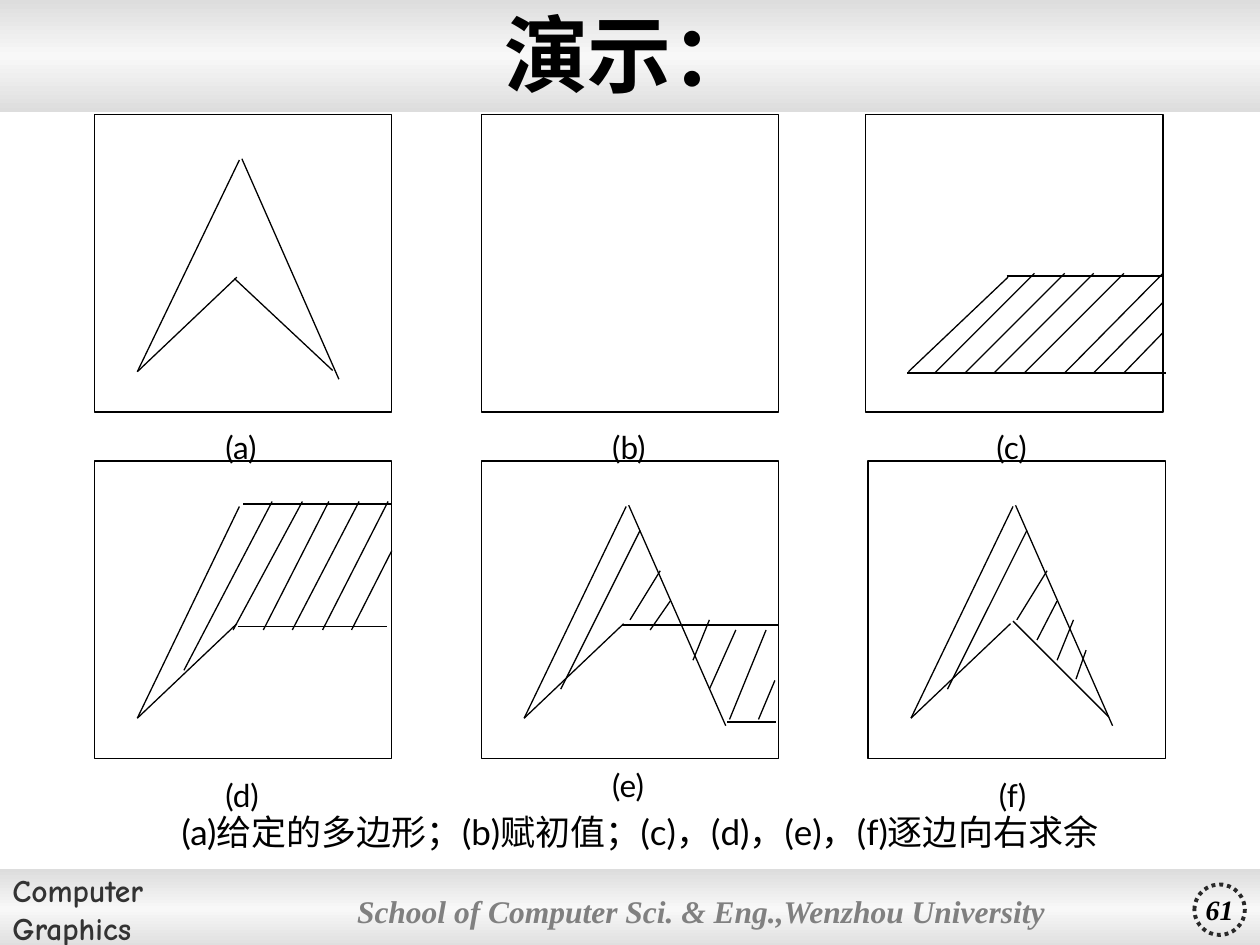
from copy import deepcopy
from pptx import Presentation
from pptx.dml.color import RGBColor
from pptx.enum.dml import MSO_LINE
from pptx.enum.shapes import MSO_CONNECTOR, MSO_SHAPE
from pptx.enum.text import MSO_ANCHOR, PP_ALIGN
from pptx.oxml.ns import qn
from pptx.util import Inches, Pt
from lxml import etree

RECT, ROUND, OVAL = MSO_SHAPE.RECTANGLE, MSO_SHAPE.ROUNDED_RECTANGLE, MSO_SHAPE.OVAL
STRAIGHT = MSO_CONNECTOR.STRAIGHT
DOT = MSO_LINE.ROUND_DOT
MIDDLE, TOP = MSO_ANCHOR.MIDDLE, MSO_ANCHOR.TOP
LEFT, CENTER = PP_ALIGN.LEFT, PP_ALIGN.CENTER

COLORS = {"ink": "000000", "edge": "DDDDDD", "glow": "F8F8F8",
          "course": "333333", "school": "808080", "ring": "292929"}
SERIF, SANS, COMIC = "Times New Roman", "Lato", "Comic Neue"
SIDE = 2.36
COLS = [0.75, 3.82, 6.89]
ROWS = [0.91, 3.66]

LEG = (1.15, 0.36, 0.34, 2.04)
SLOPE = (1.94, 2.1, 1.17, 0.35)
NOTCH = (1.13, 1.29, 0.34, 2.04)
ARROW = [LEG, SLOPE, NOTCH]
SHADE = [(1.26, 0.55, 0.63, 1.81), (1.42, 0.87, 1.18, 1.26)]


def hatch(tops, feet, high, low):
    return [(a, high, b, low) for a, b in zip(tops, feet)]


PANELS = [
    ("(a)", COLS[0], ROWS[0], 2.44, ARROW + [(1.89, 2.03, 1.11, 1.3)]),
    ("(b)", COLS[1], ROWS[0], 2.44, []),
    ("(c)", COLS[2] - 0.02, ROWS[0], 2.44,
     [NOTCH, (0.33, 2.05, 2.38, 2.05), (1.12, 1.28, SIDE, 1.28)]
     + hatch([1.34, 1.58, 1.81, 2.05, SIDE], [0.55, 0.79, 1.02, 1.26, 1.58], 1.26, 2.05)
     + [(SIDE, 1.49, 1.81, 2.05), (SIDE, 1.73, 2.05, 2.05)]),
    ("(d)", COLS[0], ROWS[1], 2.45,
     [LEG, NOTCH, (1.18, 0.34, SIDE, 0.34), (1.14, 1.31, 2.32, 1.31),
      (1.41, 0.32, 0.71, 1.66)]
     + hatch([1.65, 1.86, 2.1, 2.33], [1.1, 1.34, 1.57, 1.81], 0.32, 1.34)
     + [(SIDE, 0.71, 2.04, 1.34)]),
    ("(e)", COLS[1], ROWS[1], 2.37,
     ARROW + SHADE
     + [(1.12, 1.3, SIDE, 1.3), (1.95, 2.07, 2.34, 2.07),
        (1.5, 1.11, 1.34, 1.34), (1.81, 1.26, 1.68, 1.58),
        (2.02, 1.34, 1.81, 1.81), (2.26, 1.34, 1.97, 2.05),
        (2.33, 1.74, 2.2, 2.05)]),
    ("(f)", COLS[2], ROWS[1], 2.45,
     ARROW + SHADE
     + [(1.5, 1.11, 1.34, 1.42), (1.63, 1.26, 1.5, 1.58),
        (1.73, 1.5, 1.65, 1.73), (1.91, 2.03, 1.15, 1.27)]),
]


def rgb(name):
    return RGBColor.from_string(COLORS[name])


def write(shape, text, size, face, color="ink", bold=False, italic=False,
          align=LEFT, anchor=MIDDLE, wrap=True):
    frame = shape.text_frame
    frame.text = text
    frame.word_wrap = wrap
    frame.vertical_anchor = anchor
    for para in frame.paragraphs:
        para.alignment = align
        for run in para.runs:
            font = run.font
            font.size, font.name = Pt(size), face
            font.bold, font.italic = bold, italic
            font.color.rgb = rgb(color)


def add_box(shapes, kind, x, y, w, h, line=None, weight=0.75):
    box = shapes.add_shape(kind, Inches(x), Inches(y), Inches(w), Inches(h))
    box.shadow.inherit = False
    box.fill.background()
    if line:
        box.line.color.rgb = rgb(line)
        box.line.width = Pt(weight)
    else:
        box.line.fill.background()
    return box


def add_band(shapes, y, h):
    band = add_box(shapes, RECT, 0, y, 10, h)
    fill = band.fill
    fill.gradient()
    fill.gradient_angle = 270
    first = fill.gradient_stops[0]
    first.color.rgb = rgb("edge")
    first.position = 0
    last = fill.gradient_stops[1]
    last.color.rgb = rgb("edge")
    last.position = 1
    stops = band._element.spPr.find(qn("a:gradFill")).find(qn("a:gsLst"))
    stops.insert(1, deepcopy(stops[0]))
    mid = fill.gradient_stops[1]
    mid.color.rgb = rgb("glow")
    mid.position = 0.5
    return band


def add_text(shapes, text, x, y, w, h, size, align=LEFT):
    box = shapes.add_textbox(Inches(x), Inches(y), Inches(w), Inches(h))
    write(box, text, size, SANS, align=align, anchor=TOP)


def add_line(shapes, x1, y1, x2, y2):
    line = shapes.add_connector(STRAIGHT, Inches(x1), Inches(y1), Inches(x2), Inches(y2))
    line.line.color.rgb = rgb("ink")
    line.line.width = Pt(0.75)
    etree.SubElement(line._element.spPr, qn("a:effectLst"))


def add_panel(slide, label, x, y, drop, lines):
    shapes = slide.shapes.add_group_shape().shapes
    add_box(shapes, RECT, x, y, SIDE, SIDE, "ink")
    for x1, y1, x2, y2 in lines:
        add_line(shapes, x + x1, y + y1, x + x2, y + y2)
    add_text(shapes, label, x + 0.94, y + drop, 0.55, 0.4, 18)


def add_frame(shapes):
    foot = add_band(shapes, 6.9, 0.63)
    write(foot, "Computer\nGraphics", 18, COMIC, "course", bold=True)
    add_band(shapes, 0, 0.89)
    school = add_box(shapes, ROUND, 2.78, 6.9, 5.99, 0.66)
    school.adjustments[0] = 0.02
    write(school, "School of Computer Sci. & Eng.,Wenzhou University", 18,
          SERIF, "school", bold=True, italic=True)
    school.text_frame.margin_left = school.text_frame.margin_right = Inches(0.05)
    ring = add_box(shapes, OVAL, 9.48, 7.02, 0.4, 0.4, "ring", 2.25)
    ring.line.dash_style = DOT
    write(ring, "61", 16, SERIF, bold=True, italic=True, align=CENTER, wrap=False)


def set_title(slide):
    title = slide.shapes.title
    title.left, title.top = Inches(0), Inches(-0.03)
    title.width, title.height = Inches(10), Inches(0.9)
    write(title, "演示：", 48, SERIF, bold=True, align=CENTER)
    slide.shapes._spTree.append(title._element)


def main():
    deck = Presentation()
    deck.slide_width, deck.slide_height = Inches(10), Inches(7.5)
    slide = deck.slides.add_slide(deck.slide_layouts[5])
    add_frame(slide.shapes)
    for panel in PANELS:
        add_panel(slide, *panel)
    add_text(slide.shapes, "(a)给定的多边形；(b)赋初值；(c)，(d)，(e)，(f)逐边向右求余",
             0.75, 6.38, 8.66, 0.44, 20, CENTER)
    set_title(slide)
    deck.save("out.pptx")


if __name__ == "__main__":
    main()
